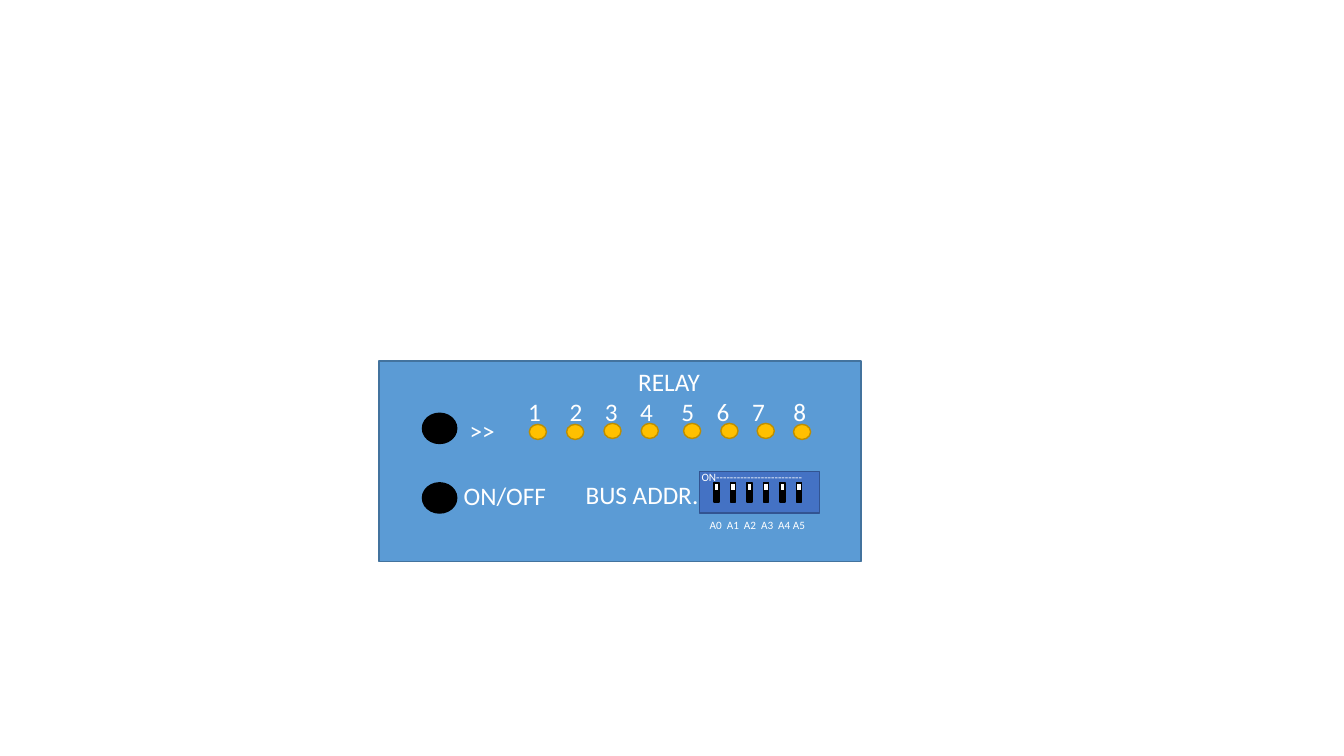
from dataclasses import dataclass
from typing import Any

from lxml.etree import SubElement
from pptx import Presentation
from pptx.dml.color import RGBColor
from pptx.enum.shapes import MSO_SHAPE
from pptx.enum.text import MSO_AUTO_SIZE, PP_ALIGN
from pptx.oxml.ns import qn
from pptx.util import Inches, Pt

WHITE, BLACK = "FFFFFF", "000000"


@dataclass(frozen=True)
class Part:
    left: float
    top: float
    width: float
    height: float
    fill: str
    line: str
    outline: MSO_SHAPE = MSO_SHAPE.RECTANGLE


@dataclass(frozen=True)
class Line:
    text: str
    align: PP_ALIGN = PP_ALIGN.LEFT
    stops: tuple[float, ...] = ()


@dataclass(frozen=True)
class Label:
    left: float
    top: float
    width: float
    height: float
    lines: tuple[Line, ...]
    size: int = 18
    wrap: bool = False


def color(hex_value: str) -> RGBColor:
    return RGBColor.from_string(hex_value)


def set_format(target: Any, values: dict[str, Any]) -> None:
    for attribute, value in values.items():
        setattr(target, attribute, value)


def draw_part(shapes: Any, part: Part) -> None:
    box = map(Inches, (part.left, part.top, part.width, part.height))
    shape = shapes.add_shape(part.outline, *box)
    shape.shadow.inherit = False
    shape.fill.solid()
    shape.fill.fore_color.rgb = color(part.fill)
    shape.line.color.rgb = color(part.line)
    shape.line.width = Pt(1)


def set_tab_stops(paragraph: Any, stops: tuple[float, ...]) -> None:
    tab_list = SubElement(paragraph._p.get_or_add_pPr(), qn("a:tabLst"))
    for stop in stops:
        SubElement(tab_list, qn("a:tab"), pos=str(Inches(stop)), algn="l")


def draw_label(shapes: Any, label: Label) -> None:
    box = map(Inches, (label.left, label.top, label.width, label.height))
    frame = shapes.add_textbox(*box).text_frame
    set_format(frame, {"word_wrap": label.wrap,
                       "auto_size": MSO_AUTO_SIZE.SHAPE_TO_FIT_TEXT})
    for index, line in enumerate(label.lines):
        paragraph = frame.add_paragraph() if index else frame.paragraphs[0]
        paragraph.alignment = line.align
        if line.stops:
            set_tab_stops(paragraph, line.stops)
        run = paragraph.add_run()
        run.text = line.text
        set_format(run.font, {"name": "Calibri", "size": Pt(label.size)})
        run.font.color.rgb = color(WHITE)


# Front panel and its two buttons
PANEL = Part(3.76, 3.58, 4.78, 1.99, "5B9BD5", "43739E")
BUTTONS = [Part(4.19, top, 0.34, 0.3, BLACK, BLACK, MSO_SHAPE.OVAL)
           for top in (4.1, 4.79)]

# Relay lamps, one per output
LAMP_PLACES = [(5.25, 4.21), (5.62, 4.21), (5.99, 4.2), (6.36, 4.2),
               (6.78, 4.2), (7.15, 4.2), (7.51, 4.2), (7.87, 4.21)]
LAMPS = [Part(left, top, 0.17, 0.15, "FFC000", "BD8E00", MSO_SHAPE.OVAL)
         for left, top in LAMP_PLACES]

# Panel lettering
RELAY_STOPS = (0.41, 0.76, 1.11, 1.52, 1.87, 2.22, 2.63)
ADDRESS_STOPS = (0.17, 0.34, 0.51, 0.68)
LABELS = [
    Label(4.56, 4.07, 0.45, 0.4, (Line(">>"),)),
    Label(4.5, 4.72, 1.03, 0.4, (Line("ON/OFF"),)),
    Label(5.14, 3.58, 2.99, 0.71,
          (Line("RELAY", PP_ALIGN.CENTER),
           Line("\t".join("12345678"), stops=RELAY_STOPS)), wrap=True),
    Label(5.71, 4.71, 1.33, 0.4, (Line("BUS ADDR."),)),
    Label(6.94, 5.09, 1.33, 0.24,
          (Line("A0\tA1\tA2\tA3\tA4 A5", stops=ADDRESS_STOPS),), 8, True),
]

# Address switch block
SWITCH_BODY = Part(6.94, 4.68, 1.19, 0.41, "4472C4", "325491")
SWITCH_LABEL = Label(6.86, 4.62, 1.22, 0.24, (Line("ON" + "-" * 25),), 8)
SWITCH_COUNT, SWITCH_LEFT, SWITCH_STEP = 6, 7.08, 0.164


def draw_address_switch(shapes: Any) -> None:
    group = shapes.add_group_shape().shapes
    draw_part(group, SWITCH_BODY)
    draw_label(group, SWITCH_LABEL)
    for index in range(SWITCH_COUNT):
        left = SWITCH_LEFT + index * SWITCH_STEP
        for height, fill in ((0.19, BLACK), (0.08, WHITE)):
            draw_part(group, Part(left, 4.79, 0.05, height, fill, BLACK))


def main() -> None:
    presentation = Presentation()
    set_format(presentation, {"slide_width": Inches(13.33),
                              "slide_height": Inches(7.5)})
    shapes = presentation.slides.add_slide(presentation.slide_layouts[6]).shapes
    for part in (PANEL, *BUTTONS, *LAMPS):
        draw_part(shapes, part)
    for label in LABELS:
        draw_label(shapes, label)
    draw_address_switch(shapes)
    presentation.save("out.pptx")


if __name__ == "__main__":
    main()
